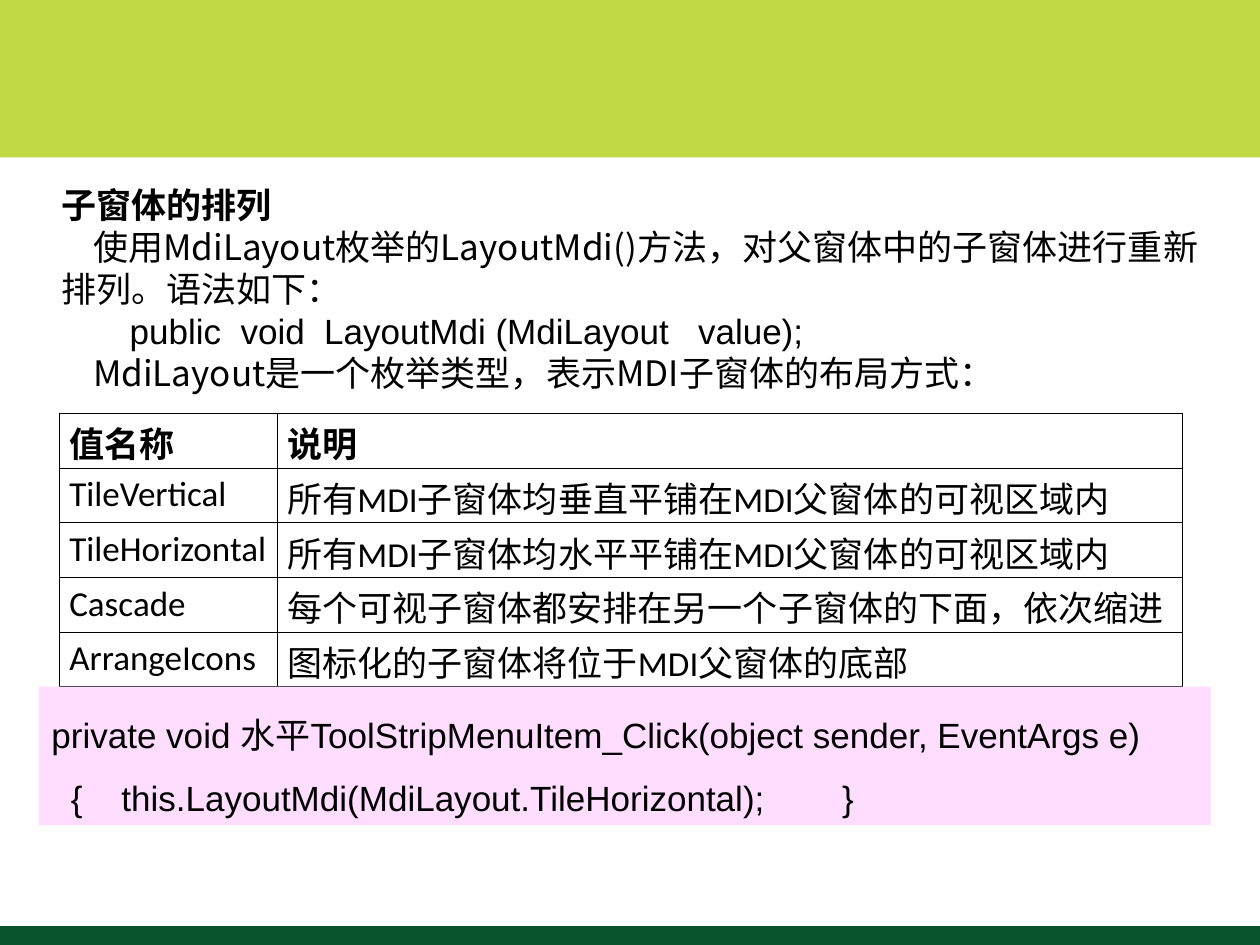
from lxml import etree
from pptx import Presentation
from pptx import util as u
from pptx.dml.color import RGBColor
from pptx.enum import shapes, text
from pptx.oxml.ns import qn

CJK = "Noto Sans CJK SC"
INTRO = [
    ("子窗体的排列", dict(font=CJK, bold=True)),
    ("使用MdiLayout枚举的LayoutMdi()方法，对父窗体中的子窗体进行重新排列。语法如下：",
     dict(font=CJK, indent=0.25)),
    ("public  void  LayoutMdi (MdiLayout   value);", dict(indent=0.54)),
    ("MdiLayout是一个枚举类型，表示MDI子窗体的布局方式：", dict(font=CJK, indent=0.25)),
]
LAYOUTS = [
    ("值名称", "说明"),
    ("TileVertical", "所有MDI子窗体均垂直平铺在MDI父窗体的可视区域内"),
    ("TileHorizontal", "所有MDI子窗体均水平平铺在MDI父窗体的可视区域内"),
    ("Cascade", "每个可视子窗体都安排在另一个子窗体的下面，依次缩进"),
    ("ArrangeIcons", "图标化的子窗体将位于MDI父窗体的底部"),
]
CODE = [
    "private void 水平ToolStripMenuItem_Click(object sender, EventArgs e)",
    "  {    this.LayoutMdi(MdiLayout.TileHorizontal);        }",
]


def color(value):
    return RGBColor.from_string(value)


def write(p, words, font="Arial", bold=False, indent=0, spacing=24,
          align=text.PP_ALIGN.LEFT):
    p.alignment = align
    p.line_spacing = u.Pt(spacing)
    if indent:
        pPr = p._p.get_or_add_pPr()
        pPr.set("marL", "0")
        pPr.set("indent", str(u.Inches(indent)))
    r = p.add_run()
    r.text = words
    r.font.size = u.Pt(20)
    r.font.bold = bold
    r.font.color.rgb = color("000000")
    r.font.name = font
    etree.SubElement(r._r.get_or_add_rPr(), qn("a:ea")).set("typeface", CJK)


def write_lines(tf, lines):
    tf.word_wrap = True
    tf.vertical_anchor = text.MSO_ANCHOR.TOP
    for i, (words, style) in enumerate(lines):
        p = tf.add_paragraph() if i else tf.paragraphs[0]
        write(p, words, **style)


def add_panel(s, box, fill):
    sp = s.shapes.add_shape(shapes.MSO_SHAPE.RECTANGLE, *map(u.Inches, box))
    sp.shadow.inherit = False
    sp.fill.solid()
    sp.fill.fore_color.rgb = color(fill)
    sp.line.fill.background()
    return sp


def add_intro(s, box):
    tf = s.shapes.add_textbox(*map(u.Inches, box)).text_frame
    write_lines(tf, INTRO)


def add_borders(cell):
    tcPr = cell._tc.get_or_add_tcPr()
    for i, side in enumerate(("lnL", "lnR", "lnT", "lnB")):
        ln = etree.Element(qn(f"a:{side}"), w=str(u.Pt(0.45)))
        fill = etree.SubElement(ln, qn("a:solidFill"))
        etree.SubElement(fill, qn("a:srgbClr"), val="000000")
        tcPr.insert(i, ln)


def add_layout_table(s, box, name_width):
    left, top, width, height = box
    frame = s.shapes.add_table(len(LAYOUTS), 2, *map(u.Inches, box))
    table = frame.table
    table.first_row = table.horz_banding = False
    table.columns[0].width = u.Inches(name_width)
    table.columns[1].width = u.Inches(width - name_width)
    for i, row in enumerate(LAYOUTS):
        table.rows[i].height = u.Inches(height / len(LAYOUTS))
        for j, words in enumerate(row):
            cell = table.cell(i, j)
            chinese = i == 0 or j == 1
            cell.margin_left = cell.margin_right = u.Inches(0.08)
            cell.margin_top = u.Inches(0.1 if chinese else 0.05)
            cell.margin_bottom = u.Inches(0 if chinese else 0.05)
            cell.vertical_anchor = text.MSO_ANCHOR.MIDDLE
            cell.fill.background()
            add_borders(cell)
            write(cell.text_frame.paragraphs[0], words, font="Calibri",
                  bold=i == 0, align=text.PP_ALIGN.JUSTIFY)


def add_code(s, box):
    sp = add_panel(s, box, "FFDDFF")
    write_lines(sp.text_frame, [(line, dict(spacing=36)) for line in CODE])


def main():
    prs = Presentation()
    prs.slide_width, prs.slide_height = u.Inches(10), u.Inches(7.5)
    s = prs.slides.add_slide(prs.slide_layouts[6])
    add_panel(s, (0, 0, 10, 1.25), "BFD844")
    add_panel(s, (0, 7.35, 10, 0.15), "09532A")
    add_intro(s, (0.39, 1.41, 9.22, 1.77))
    add_layout_table(s, (0.47, 3.28, 8.91, 2.17), 1.73)
    add_code(s, (0.31, 5.45, 9.3, 1.1))
    prs.save("out.pptx")


if __name__ == "__main__":
    main()
